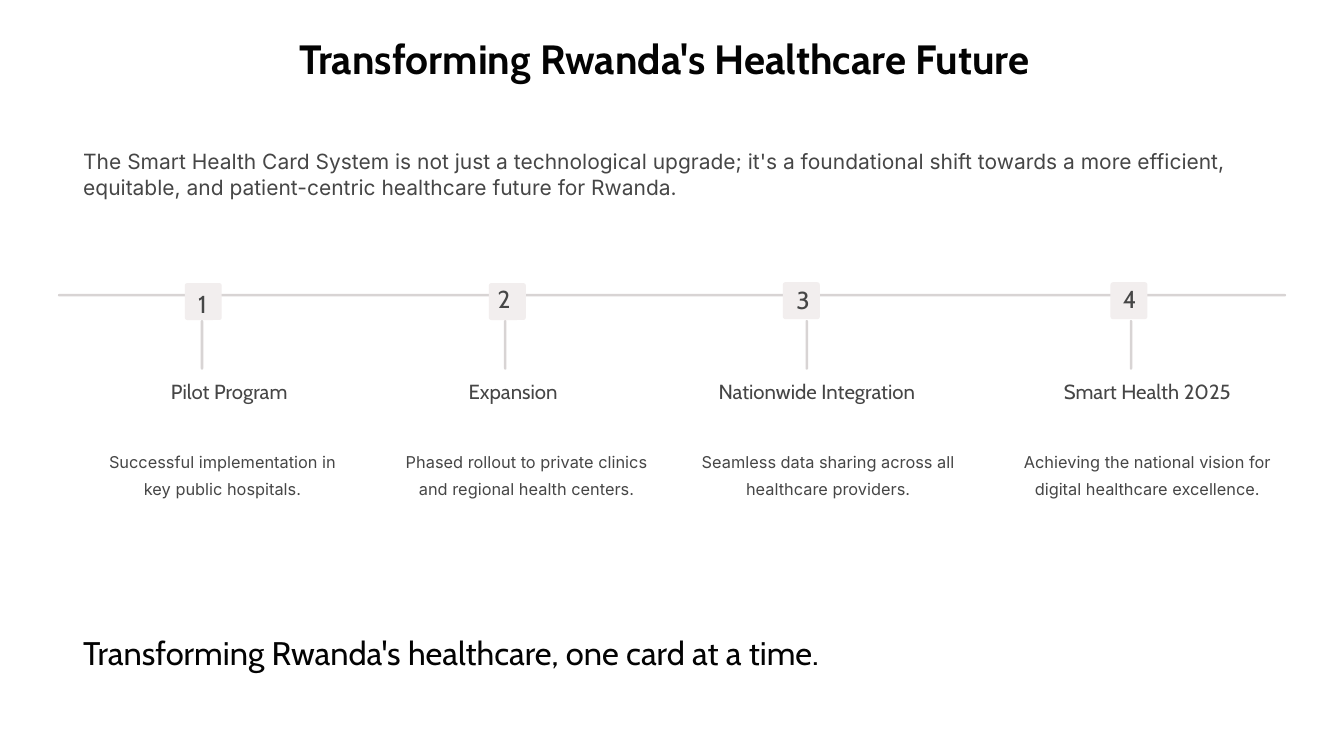
from dataclasses import dataclass

from pptx import Presentation
from pptx.dml.color import RGBColor
from pptx.enum.shapes import MSO_SHAPE
from pptx.enum.text import PP_ALIGN
from pptx.util import Inches, Pt


@dataclass(frozen=True)
class TextStyle:
    font: str
    size: float
    leading: float
    color: str
    bold: bool = False
    align: PP_ALIGN = PP_ALIGN.LEFT
    wrap: bool = False


@dataclass(frozen=True)
class Theme:
    background: str = "FFFFFF"
    rule: str = "D8D4D4"
    badge: str = "F2EEEE"
    title: TextStyle = TextStyle("Cabin", 35, 44, "030303", bold=True)
    intro: TextStyle = TextStyle("Inter", 18, 22.5, "464646", wrap=True)
    number: TextStyle = TextStyle("Cabin", 21, 21, "464646", align=PP_ALIGN.CENTER)
    heading: TextStyle = TextStyle("Cabin", 17.5, 22, "464646", align=PP_ALIGN.CENTER)
    detail: TextStyle = TextStyle("Inter", 14, 22.5, "464646", align=PP_ALIGN.CENTER, wrap=True)
    closing: TextStyle = TextStyle("Cabin", 28, 35, "030303")


@dataclass(frozen=True)
class Step:
    heading: str
    detail: str
    stem_left: float
    badge_left: float
    badge_top: float
    number_left: float
    number_top: float
    heading_left: float
    detail_left: float
    heading_width: float = 2.46


STEPS = [
    Step("Pilot Program", "Successful implementation in key public hospitals.",
         2.39, 2.2, 3.37, 2.26, 3.5, 1.5, 1.11),
    Step("Expansion", "Phased rollout to private clinics and regional health centers.",
         6, 5.82, 3.37, 5.85, 3.44, 4.88, 4.73),
    Step("Nationwide Integration", "Seamless data sharing across all healthcare providers.",
         9.59, 9.32, 3.36, 9.41, 3.45, 8.37, 8.32, 2.71),
    Step("Smart Health 2025", "Achieving the national vision for digital healthcare excellence.",
         13.45, 13.22, 3.36, 13.3, 3.44, 12.43, 12.12),
]


class SlideBuilder:
    def __init__(self, slide, theme):
        self.slide = slide
        self.theme = theme
        fill = slide.background.fill
        fill.solid()
        fill.fore_color.rgb = RGBColor.from_string(theme.background)

    def text(self, wording, left, top, width, height, style):
        box = self.slide.shapes.add_textbox(
            Inches(left), Inches(top), Inches(width), Inches(height))
        frame = box.text_frame
        frame.margin_left = frame.margin_top = frame.margin_right = frame.margin_bottom = 0
        frame.word_wrap = style.wrap
        paragraph = frame.paragraphs[0]
        paragraph.text = wording
        paragraph.alignment = style.align
        paragraph.line_spacing = Pt(style.leading)
        paragraph.font.name = style.font
        paragraph.font.size = Pt(style.size)
        paragraph.font.bold = style.bold
        paragraph.font.color.rgb = RGBColor.from_string(style.color)

    def rounded(self, left, top, width, height, color, roundness):
        shape = self.slide.shapes.add_shape(
            MSO_SHAPE.ROUNDED_RECTANGLE,
            Inches(left), Inches(top), Inches(width), Inches(height))
        shape.adjustments[0] = roundness
        shape.shadow.inherit = False
        shape.fill.solid()
        shape.fill.fore_color.rgb = RGBColor.from_string(color)
        shape.line.fill.background()

    def rule(self, left, top, width, height):
        self.rounded(left, top, width, height, self.theme.rule, 0.5)

    def step(self, number, step):
        theme = self.theme
        self.rule(step.stem_left, 3.81, 0.03, 0.59)
        self.rounded(step.badge_left, step.badge_top, 0.44, 0.44, theme.badge, 0.07)
        self.text(str(number), step.number_left, step.number_top, 0.3, 0.37, theme.number)
        self.text(step.heading, step.heading_left, 4.5, step.heading_width, 0.31, theme.heading)
        self.text(step.detail, step.detail_left, 5.31, 3.08, 0.63, theme.detail)


def main():
    presentation = Presentation()
    presentation.slide_width = Inches(16)
    presentation.slide_height = Inches(9)
    theme = Theme()
    builder = SlideBuilder(
        presentation.slides.add_slide(presentation.slide_layouts[6]), theme)

    builder.text("Transforming Rwanda's Healthcare Future", 3.56, 0.37, 9.88, 0.62, theme.title)
    builder.text(
        "The Smart Health Card System is not just a technological upgrade; it's a foundational "
        "shift towards a more efficient, equitable, and patient-centric healthcare future for Rwanda.",
        0.99, 1.75, 14.62, 0.63, theme.intro)
    builder.rule(0.69, 3.5, 14.62, 0.03)
    for number, step in enumerate(STEPS, start=1):
        builder.step(number, step)
    builder.text("Transforming Rwanda's healthcare, one card at a time.",
                 0.99, 7.51, 10.25, 0.49, theme.closing)

    presentation.save("out.pptx")


if __name__ == "__main__":
    main()
